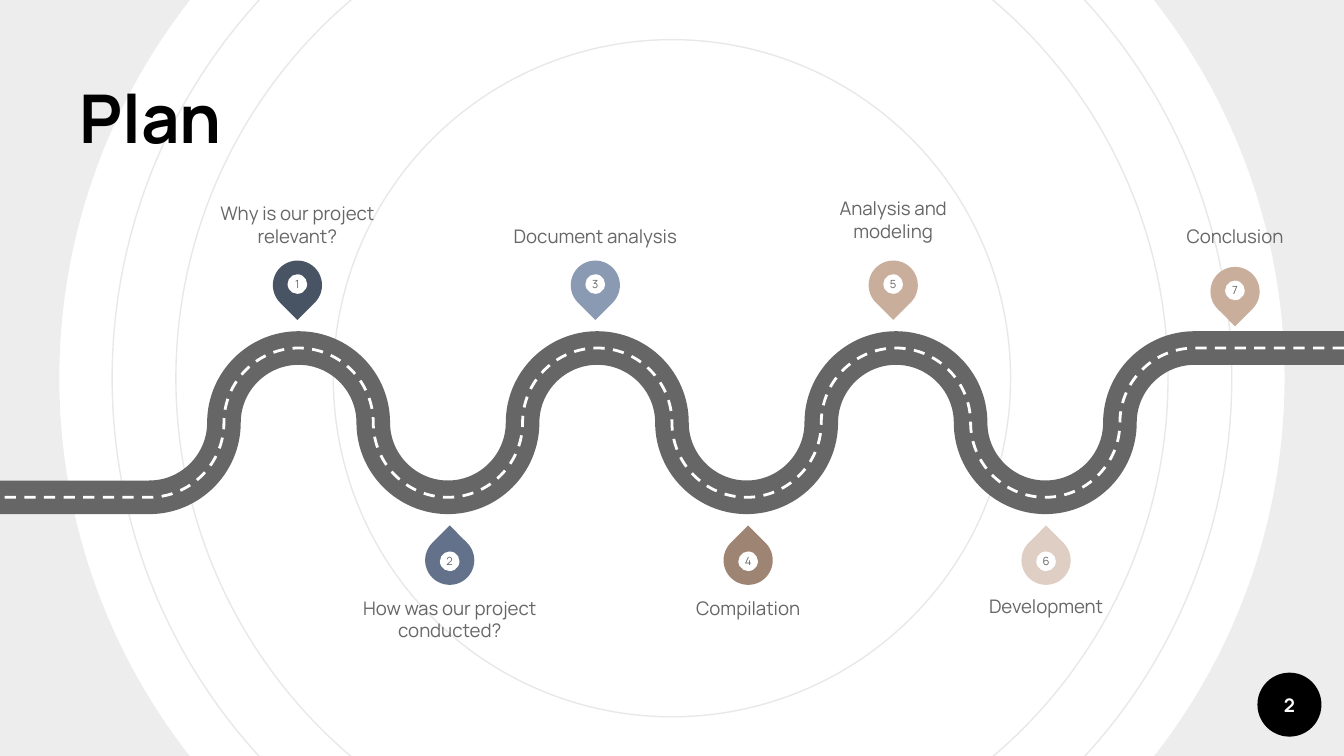
"""Build a project plan slide: a winding road with seven numbered pins."""
from math import cos, pi

from lxml.etree import SubElement
from pptx import Presentation
from pptx.dml.color import RGBColor
from pptx.enum.dml import MSO_LINE
from pptx.enum.shapes import MSO_SHAPE as Preset
from pptx.enum.text import MSO_ANCHOR as Anchor, MSO_AUTO_SIZE as AutoSize, PP_ALIGN as Align
from pptx.oxml.ns import qn
from pptx.util import Cm, Pt

BLACK = RGBColor(0x00, 0x00, 0x00)
WHITE = RGBColor(0xFF, 0xFF, 0xFF)
GRAY = RGBColor(0x66, 0x66, 0x66)
RING_GRAY = RGBColor(0xE8, 0xE8, 0xE8)
NAVY = RGBColor(0x48, 0x53, 0x64)
SLATE = RGBColor(0x63, 0x72, 0x8A)
STEEL = RGBColor(0x8B, 0x9A, 0xB3)
BROWN = RGBColor(0x9E, 0x84, 0x73)
TAN = RGBColor(0xCA, 0xAE, 0x9C)
SAND = RGBColor(0xDF, 0xCE, 0xC3)

TITLE = "Plan"
PAGE = "2"
ABOVE = {"rotation": 135, "dot_shift": -0.02}
BELOW = {"rotation": 315, "dot_shift": 0.02}
STEPS = [
    ("Why is our project relevant?", NAVY, ABOVE, 5.62, 5.39, 3.2, 1.47, Anchor.BOTTOM),
    ("How was our project conducted?", SLATE, BELOW, 8.5, 10.59, 11.28, 1.22, Anchor.TOP),
    ("Document analysis", STEEL, ABOVE, 11.25, 5.39, 4.25, 0.61, Anchor.TOP),
    ("Compilation", BROWN, BELOW, 14.14, 10.59, 11.28, 0.84, Anchor.TOP),
    ("Analysis and modeling", TAN, ABOVE, 16.88, 5.39, 3.73, 0.99, Anchor.TOP),
    ("Development", SAND, BELOW, 19.77, 10.59, 11.25, 0.84, Anchor.TOP),
    ("Conclusion", TAN, ABOVE, 23.34, 5.51, 4.25, 0.61, Anchor.TOP),
]
RINGS = [21.16, 18.75, 12.8]

SLIDE_W, SLIDE_H = 25.4, 14.29
CENTER = (SLIDE_W / 2, 7.15)
DONUT = 29.31
PAGE_CENTER, PAGE_SIZE = (24.37, 13.32), 1.21
PIN, DOT, LABEL_W = 0.93, 0.37, 3.58
ROAD_MIDDLE = 7.99
QUARTERS = 14
TURN_RADIUS = SLIDE_W / (QUARTERS + 4)
CURVE = 0.55
ROAD_LINES = [
    {"width": Pt(18)},
    {"width": Pt(1.5), "dash_style": MSO_LINE.DASH},
]


def apply(target, values):
    for name, value in values.items():
        setattr(target, name, value)


def add_round(shapes, preset, center, size, fill=None):
    x, y = center
    shape = shapes.add_shape(preset, Cm(x - size / 2), Cm(y - size / 2), Cm(size), Cm(size))
    shape.shadow.inherit = False
    shape.line.fill.background()
    if fill is None:
        shape.fill.background()
    else:
        shape.fill.solid()
        shape.fill.fore_color.rgb = fill
    return shape


def write(shape, text, size, color, align=Align.CENTER, anchor=Anchor.MIDDLE,
          inset=0, bold=False, spacing=1.0):
    frame = shape.text_frame
    margins = {f"margin_{side}": Cm(inset) for side in ("left", "top", "right", "bottom")}
    apply(frame, {"word_wrap": True, "auto_size": AutoSize.NONE,
                  "vertical_anchor": anchor, **margins})
    paragraph = frame.paragraphs[0]
    apply(paragraph, {"text": text, "alignment": align, "line_spacing": spacing})
    apply(paragraph.runs[0].font, {"name": "Manrope", "size": Pt(size), "bold": bold})
    paragraph.runs[0].font.color.rgb = color


def road_points():
    nodes = [(SLIDE_W - TURN_RADIUS * (step + 2),
              ROAD_MIDDLE - TURN_RADIUS * cos(pi * step / 2))
             for step in range(QUARTERS + 1)]
    points = [(SLIDE_W, nodes[0][1]), nodes[0]]
    for step, ((x, y), (end_x, end_y)) in enumerate(zip(nodes, nodes[1:])):
        dx, dy = (end_x - x) * CURVE, (end_y - y) * CURVE
        if step % 2:
            points += [(x, y + dy), (end_x - dx, end_y)]
        else:
            points += [(x + dx, y), (end_x, end_y - dy)]
        points.append((end_x, end_y))
    points.append((0, nodes[-1][1]))
    return [(Cm(x), Cm(y)) for x, y in points]


def bend(road):
    corners = list(road.element.iter(qn("a:lnTo")))[1:-1]
    for first in range(0, len(corners), 3):
        trio = corners[first:first + 3]
        outline = trio[0].getparent()
        curve = SubElement(outline, qn("a:cubicBezTo"))
        outline.replace(trio[0], curve)
        for corner in trio:
            curve.append(corner[0])
        for corner in trio[1:]:
            outline.remove(corner)


def add_road(shapes):
    start, *rest = road_points()
    for values, color in zip(ROAD_LINES, (GRAY, WHITE)):
        builder = shapes.build_freeform(*start)
        builder.add_line_segments(rest, close=False)
        road = builder.convert_to_shape()
        bend(road)
        road.shadow.inherit = False
        road.fill.background()
        road.line.color.rgb = color
        apply(road.line, values)


def add_backdrop(shapes):
    for size in RINGS:
        ring = add_round(shapes, Preset.OVAL, CENTER, size)
        ring.line.color.rgb = RING_GRAY
        ring.line.width = Pt(0.75)
    donut = add_round(shapes, Preset.DONUT, CENTER, DONUT, BLACK)
    donut.adjustments[0] = 0.105
    color = donut.element.spPr.find(f"{qn('a:solidFill')}/{qn('a:srgbClr')}")
    SubElement(color, qn("a:alpha"), val="7000")
    badge = add_round(shapes, Preset.OVAL, PAGE_CENTER, PAGE_SIZE, BLACK)
    write(badge, PAGE, 10, WHITE, bold=True)


def add_step(shapes, number, step):
    caption, color, place, x, pin_y, label_y, label_h, anchor = step
    marker = shapes.add_group_shape().shapes
    pin = add_round(marker, Preset.TEAR, (x, pin_y), PIN, color)
    pin.rotation = place["rotation"]
    dot = add_round(marker, Preset.OVAL, (x, pin_y + place["dot_shift"]), DOT, WHITE)
    write(dot, str(number), 6, GRAY)
    label = shapes.add_textbox(Cm(x - LABEL_W / 2), Cm(label_y), Cm(LABEL_W), Cm(label_h))
    write(label, caption, 10, GRAY, anchor=anchor)


def main():
    deck = Presentation()
    apply(deck, {"slide_width": Cm(SLIDE_W), "slide_height": Cm(SLIDE_H)})
    slide = deck.slides.add_slide(deck.slide_layouts[5])
    shapes = slide.shapes
    add_backdrop(shapes)
    add_road(shapes)
    for number, step in enumerate(STEPS, 1):
        add_step(shapes, number, step)
    title = shapes.title
    apply(title, {"left": Cm(1.25), "top": Cm(1.34), "width": Cm(14.5), "height": Cm(1.9)})
    write(title, TITLE, 36, BLACK, Align.LEFT, Anchor.BOTTOM, inset=0.25, bold=True, spacing=0.9)
    title.element.getparent().append(title.element)
    deck.save("out.pptx")


if __name__ == "__main__":
    main()
